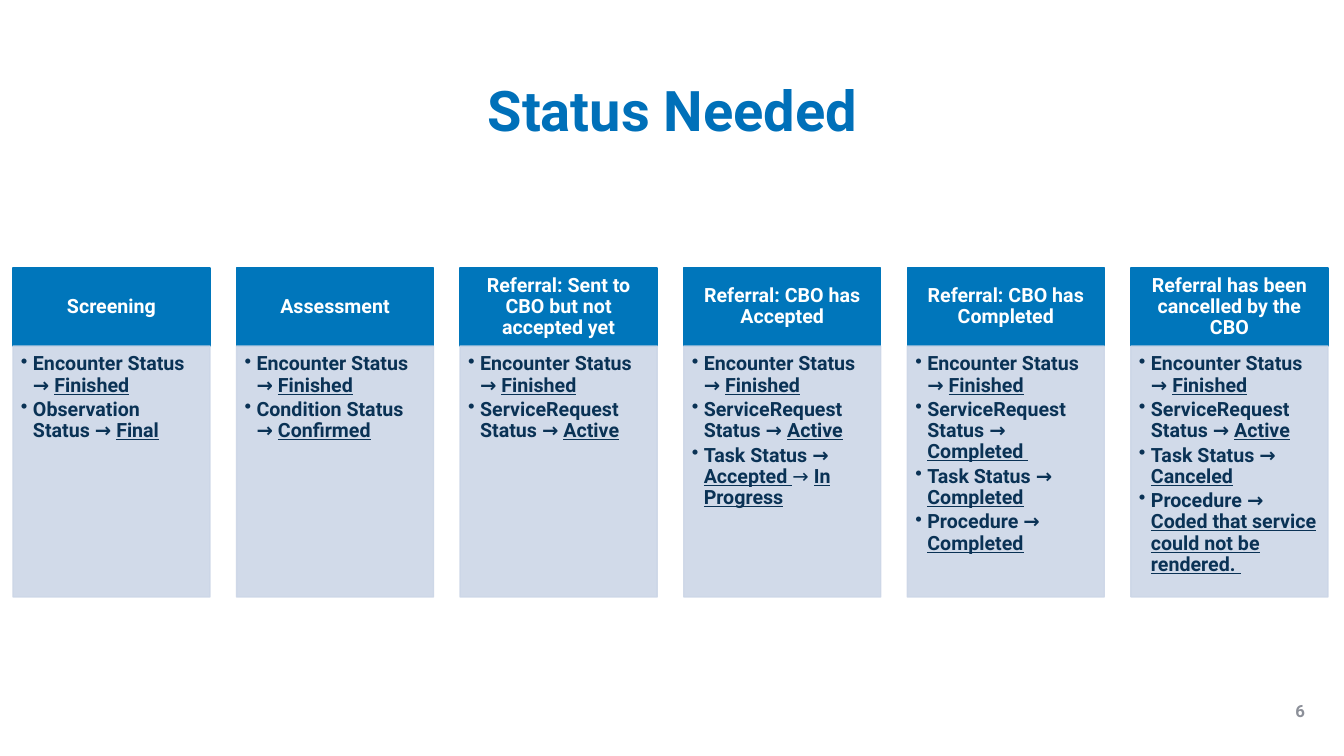
from lxml.etree import SubElement
from pptx import Presentation
from pptx.dml.color import RGBColor
from pptx.enum.shapes import MSO_SHAPE
from pptx.enum.text import MSO_ANCHOR, MSO_AUTO_SIZE, PP_ALIGN
from pptx.oxml.ns import qn
from pptx.util import Emu, Pt

PX_PER_INCH = 100.8
FONT = "Roboto"
BLUE = RGBColor(0x00, 0x76, 0xBB)
TITLE_BLUE = RGBColor(0x00, 0x70, 0xB9)
PALE = RGBColor(0xCC, 0xD6, 0xE7)
NAVY = RGBColor(0x0A, 0x32, 0x55)
GRAY = RGBColor(0x8C, 0x90, 0x99)
WHITE = RGBColor(0xFF, 0xFF, 0xFF)

ARROW = "→ "
ENCOUNTER = ("Encounter Status → ", "Finished")
REQUEST_ACTIVE = ("ServiceRequest Status → ", "Active")
COLUMNS = [
    ("Screening", [ENCOUNTER, ("Observation Status → ", "Final")]),
    ("Assessment", [ENCOUNTER, ("Condition Status → ", "Confirmed")]),
    ("Referral: Sent to CBO but not accepted yet", [ENCOUNTER, REQUEST_ACTIVE]),
    ("Referral: CBO has Accepted", [
        ENCOUNTER, REQUEST_ACTIVE,
        ("Task Status → ", "Accepted ", ARROW, "In Progress")]),
    ("Referral: CBO has Completed", [
        ENCOUNTER, ("ServiceRequest Status → ", "Completed "),
        ("Task Status → ", "Completed"), ("Procedure → ", "Completed")]),
    ("Referral has been cancelled by the CBO", [
        ENCOUNTER, REQUEST_ACTIVE, ("Task Status → ", "Canceled"),
        ("Procedure → ", "Coded that service could not be rendered. ")]),
]


def px(length):
    return Emu(round(length * 914400 / PX_PER_INCH))


def place(shape, box):
    shape.left, shape.top, shape.width, shape.height = map(px, box)


def add_span(para, text, size=14, color=NAVY, bold=True, underline=False):
    span = para.add_run()
    span.text = text
    span.font.name = FONT
    span.font.size = Pt(size)
    span.font.color.rgb = color
    span.font.bold = bold
    span.font.underline = underline


def set_frame(frame, insets, anchor):
    frame.word_wrap = True
    frame.auto_size = MSO_AUTO_SIZE.NONE
    frame.vertical_anchor = anchor
    (frame.margin_left, frame.margin_top,
     frame.margin_right, frame.margin_bottom) = map(px, insets)


def set_bullet(para):
    properties = para._p.get_or_add_pPr()
    properties.set("marL", str(px(12)))
    properties.set("indent", str(px(-12)))
    SubElement(properties, qn("a:buChar")).set("char", "•")


def add_panel(page, box, color, opacity=100):
    panel = page.shapes.add_shape(MSO_SHAPE.RECTANGLE, *map(px, box))
    panel.shadow.inherit = False
    panel.fill.solid()
    panel.fill.fore_color.rgb = color
    panel.line.color.rgb = color
    panel.line.width = Pt(1)
    if opacity < 100:
        for tint in panel._element.spPr.iter(qn("a:srgbClr")):
            SubElement(tint, qn("a:alpha")).set("val", str(opacity * 1000))
    return panel


def add_title(page, box, text):
    title = page.shapes.title
    place(title, box)
    set_frame(title.text_frame, (10, 5, 10, 5), MSO_ANCHOR.MIDDLE)
    para = title.text_frame.paragraphs[0]
    para.alignment = PP_ALIGN.CENTER
    para.line_spacing = 0.9
    add_span(para, text, size=40, color=TITLE_BLUE)


def add_column(page, box, heading, items):
    left, top, width, height = box
    header_height = 78
    header = add_panel(page, (left, top, width, header_height), BLUE)
    set_frame(header.text_frame, (11, 6, 11, 6), MSO_ANCHOR.MIDDLE)
    para = header.text_frame.paragraphs[0]
    para.alignment = PP_ALIGN.CENTER
    para.line_spacing = 0.9
    add_span(para, heading, color=WHITE)

    body = add_panel(page, (left, top + header_height, width,
                            height - header_height), PALE, opacity=90)
    frame = body.text_frame
    set_frame(frame, (8, 8, 11, 12), MSO_ANCHOR.TOP)
    for index, item in enumerate(items):
        para = frame.add_paragraph() if index else frame.paragraphs[0]
        para.alignment = PP_ALIGN.LEFT
        para.line_spacing = 0.9
        para.space_after = Pt(2.3)
        set_bullet(para)
        for position, text in enumerate(item):
            add_span(para, text, bold=text != ARROW,
                     underline=position % 2 == 1)


def add_columns(page, box, columns):
    left, top, width, height = box
    column_width = 197
    pitch = (width - column_width) / (len(columns) - 1)
    for index, (heading, items) in enumerate(columns):
        add_column(page, (left + index * pitch, top, column_width, height),
                   heading, items)


def add_page_number(page, box, number):
    label = page.shapes.add_textbox(*map(px, box))
    set_frame(label.text_frame, (10, 5, 10, 5), MSO_ANCHOR.MIDDLE)
    para = label.text_frame.paragraphs[0]
    para.alignment = PP_ALIGN.RIGHT
    add_span(para, number, size=12, color=GRAY)


def main():
    deck = Presentation()
    deck.slide_width, deck.slide_height = px(1344), px(756)
    page = deck.slides.add_slide(deck.slide_layouts[5])
    add_title(page, (93, 40, 1159, 146), "Status Needed")
    add_columns(page, (13, 268, 1315, 329), COLUMNS)
    add_page_number(page, (1013, 691, 302, 40), "6")
    deck.save("out.pptx")


if __name__ == "__main__":
    main()
